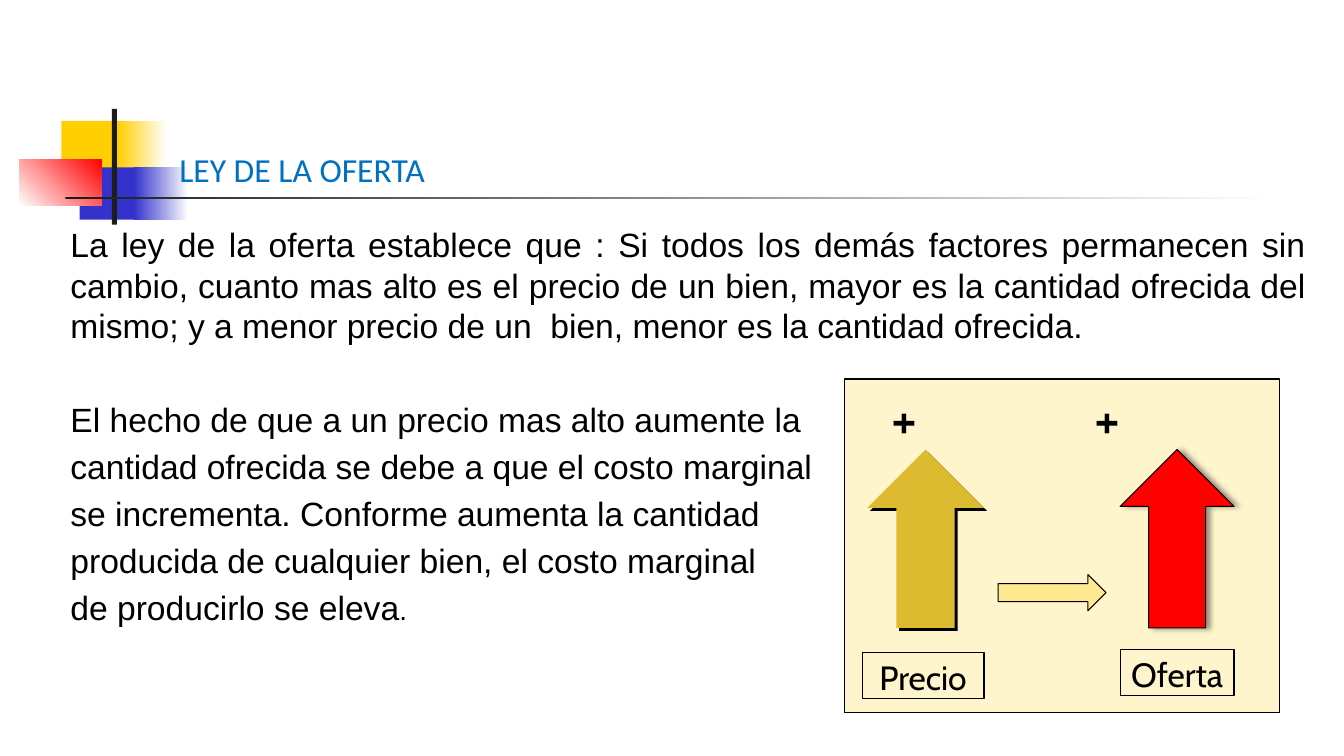
from lxml import etree
from pptx import Presentation
from pptx.dml.color import RGBColor
from pptx.enum import shapes, text
from pptx.oxml.ns import qn
from pptx.util import Inches, Pt

SHAPE = shapes.MSO_SHAPE
ALIGN = text.PP_ALIGN
ANCHOR = text.MSO_ANCHOR

THEME = {
    "title_font": "Calibri", "body_font": "Arial", "label_font": "Cabin",
    "size": 24, "stop_size": 20, "sign_size": 40,
    "title": "0070C0", "ink": "000000", "dark": "1C1C1C", "white": "FFFFFF",
    "yellow": "FFCF01", "blue": "3333CC", "red": "FF0000",
    "panel": "FFF5CC", "gold": "DDBB30", "pale": "FFE990",
    "line_pitch": 29, "para_gap": 4.6, "section_gap": 38.1,
}

TITLE = "LEY DE LA OFERTA"
LAW = ("La ley de la oferta establece que : Si todos los demás factores permanecen "
       "sin cambio, cuanto mas alto es el precio de un bien, mayor es la cantidad "
       "ofrecida del mismo; y a menor precio de un  bien, menor es la cantidad ofrecida.")
REASON = [
    "El hecho de que a un precio mas alto aumente la",
    "cantidad ofrecida se debe a que el costo marginal",
    "se incrementa. Conforme aumenta la cantidad",
    "producida de cualquier bien, el costo marginal",
    "de producirlo se eleva",
]
FULL_STOP = "."

# left, top, width, height, fill (two colours make a gradient), angle
ORNAMENT = [
    (0.61, 1.2, 0.64, 0.52, ("yellow",), 0),
    (1.17, 1.2, 0.48, 0.52, ("yellow", "white"), 0),
    (0.79, 1.66, 0.62, 0.52, ("blue",), 0),
    (1.33, 1.66, 0.54, 0.52, ("blue", "white"), 0),
    (0.19, 1.58, 0.82, 0.46, ("white", "red"), 45),
    (1.11, 1.08, 0.05, 1.15, ("dark",), 0),
    (0.65, 1.95, 12, 0.03, ("dark", "white"), 0),
]
PANEL = (8.38, 3.76, 4.31, 3.31)
SIGN_CENTRES = [8.97, 10.98]
SIGN_WIDTH = 0.8
# box, fill, outline, shadow (opacity %, blur pt, distance pt, degrees)
UP_ARROWS = [
    ((8.6, 4.46, 1.16, 1.77), "gold", None, (100, 0, 3, 45)),
    ((11.11, 4.46, 1.13, 1.77), "red", "ink", (40, 4, 3, 0)),
]
LINK_ARROW = (9.9, 5.7, 1.07, 0.36)
LABELS = [("Precio", (8.55, 6.47, 1.21, 0.46)), ("Oferta", (11.11, 6.44, 1.13, 0.46))]


def rgb(name):
    return RGBColor.from_string(THEME[name])


def add_block(slide, box, kind=SHAPE.RECTANGLE, fill=("panel",), angle=0, line="ink"):
    sp = slide.shapes.add_shape(kind, *map(Inches, box))
    sp.shadow.inherit = False
    if len(fill) == 1:
        sp.fill.solid()
        sp.fill.fore_color.rgb = rgb(fill[0])
    else:
        sp.fill.gradient()
        sp.fill.gradient_angle = angle
        for stop, name, position in zip(sp.fill.gradient_stops, fill, (0, 1)):
            stop.color.rgb = rgb(name)
            stop.position = position
    if line:
        sp.line.color.rgb = rgb(line)
        sp.line.width = Pt(0.75)
    else:
        sp.line.fill.background()
    return sp


def add_shadow(sp, opacity, blur, distance, degrees):
    effects = sp._element.spPr.find(qn("a:effectLst"))
    shadow = etree.SubElement(
        effects, qn("a:outerShdw"), blurRad=str(Pt(blur)), dist=str(Pt(distance)),
        dir=str(degrees * 60000), algn="ctr", rotWithShape="0")
    color = etree.SubElement(shadow, qn("a:srgbClr"), val=THEME["ink"])
    etree.SubElement(color, qn("a:alpha"), val=str(opacity * 1000))


def write(p, words, font="body_font", size="size", color="ink", align=ALIGN.LEFT):
    """Append one formatted run to the paragraph."""
    p.alignment = align
    r = p.add_run()
    r.text = words
    r.font.name = THEME[font]
    r.font.size = Pt(THEME[size])
    r.font.color.rgb = rgb(color)


def text_frame(sp, anchor=ANCHOR.TOP, wrap=True):
    tf = sp.text_frame
    tf.word_wrap = wrap
    tf.vertical_anchor = anchor
    return tf


def add_text_box(slide, box, **frame):
    return text_frame(slide.shapes.add_textbox(*map(Inches, box)), **frame)


def add_body(slide):
    tf = add_text_box(slide, (0.6, 2.17, 12.45, 5.02))
    for i, words in enumerate([LAW] + REASON):
        p = tf.paragraphs[0] if i == 0 else tf.add_paragraph()
        p.line_spacing = Pt(THEME["line_pitch"])
        if i:
            p.space_before = Pt(THEME["section_gap" if i == 1 else "para_gap"])
        write(p, words, align=ALIGN.JUSTIFY)
    write(p, FULL_STOP, size="stop_size", align=ALIGN.JUSTIFY)


def add_diagram(slide):
    add_block(slide, PANEL)
    for centre in SIGN_CENTRES:
        box = (centre - SIGN_WIDTH / 2, PANEL[1], SIGN_WIDTH, SIGN_WIDTH)
        write(add_text_box(slide, box).paragraphs[0], "+", font="label_font",
              size="sign_size", align=ALIGN.CENTER)
    for box, fill, line, shadow in UP_ARROWS:
        add_shadow(add_block(slide, box, SHAPE.UP_ARROW, (fill,), line=line), *shadow)
    add_block(slide, LINK_ARROW, SHAPE.RIGHT_ARROW, ("pale",))
    for words, box in LABELS:
        tf = text_frame(add_block(slide, box), wrap=False)
        write(tf.paragraphs[0], words, font="label_font", align=ALIGN.CENTER)


def main():
    prs = Presentation()
    prs.slide_width, prs.slide_height = Inches(13.33), Inches(7.5)
    slide = prs.slides.add_slide(prs.slide_layouts[6])
    for *box, fill, angle in ORNAMENT:
        add_block(slide, box, fill=fill, angle=angle, line=None)
    title = add_text_box(slide, (1.68, 0.68, 11.36, 1.25), anchor=ANCHOR.BOTTOM)
    write(title.paragraphs[0], TITLE, font="title_font", color="title")
    add_body(slide)
    add_diagram(slide)
    prs.save("out.pptx")


if __name__ == "__main__":
    main()
